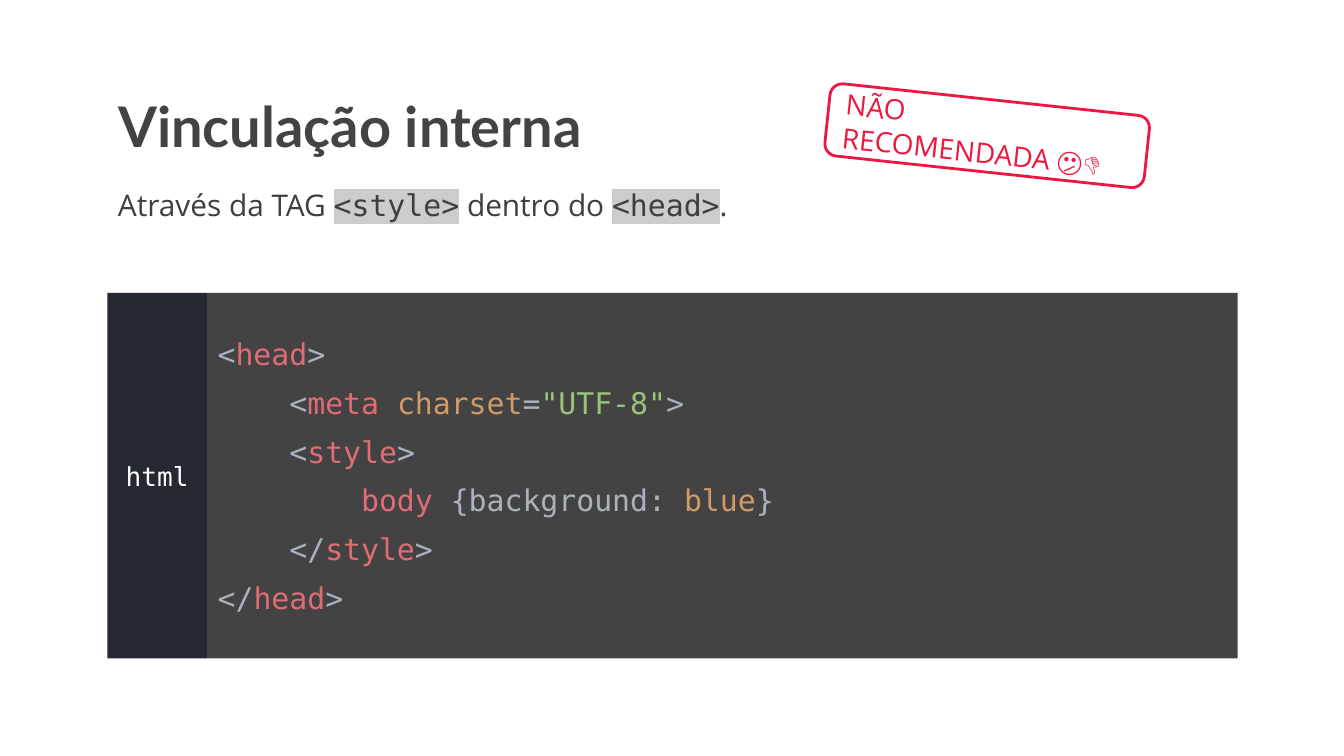
from lxml import etree
from pptx import Presentation
from pptx.dml.color import RGBColor
from pptx.enum.shapes import MSO_SHAPE as SHAPE
from pptx.enum.text import MSO_ANCHOR as ANCHOR, MSO_AUTO_SIZE as AUTO_SIZE, PP_ALIGN as ALIGN
from pptx.oxml.ns import qn
from pptx.util import Inches, Pt

HEADING, BODY, MONO = "Lato", "Open Sans", "DejaVu Sans Mono"
DARK, TEXT, RED, GRAY = "434343", "3F3F3F", "EC183F", "CCCCCC"
PLAIN, TAG, VALUE, STRING = "ABB2BF", "E06C75", "D19A66", "98C379"

PANEL_TOP, PANEL_HEIGHT = 2.18, 2.72

CODE = [
    [("<", PLAIN), ("head", TAG), (">", PLAIN)],
    [("    <", PLAIN), ("meta ", TAG), ("charset", VALUE), ("=", PLAIN),
     ('"UTF-8"', STRING), (">", PLAIN)],
    [("    <", PLAIN), ("style", TAG), (">", PLAIN)],
    [("        ", PLAIN), ("body", TAG), (" {background: ", PLAIN),
     ("blue", VALUE), ("}", PLAIN)],
    [("    </", PLAIN), ("style", TAG), (">", PLAIN)],
    [("</", PLAIN), ("head", TAG), (">", PLAIN)],
]


def rgb(color):
    return RGBColor.from_string(color)


def add_run(p, text, size, font, color, bold=False, highlight=None):
    r = p.add_run()
    r.text = text
    r.font.size, r.font.name, r.font.bold = Pt(size), font, bold
    r.font.color.rgb = rgb(color)
    if highlight:
        mark = etree.Element(qn("a:highlight"))
        etree.SubElement(mark, qn("a:srgbClr"), val=highlight)
        r.font._element.find(qn("a:solidFill")).addnext(mark)


def place(sp, left, top, width, height):
    sp.left, sp.top = Inches(left), Inches(top)
    sp.width, sp.height = Inches(width), Inches(height)


def set_frame(sp, anchor, left=0.1, top=0.1):
    tf = sp.text_frame
    tf.word_wrap, tf.auto_size = True, AUTO_SIZE.NONE
    tf.vertical_anchor = anchor
    tf.margin_left, tf.margin_top = Inches(left), Inches(top)
    tf.margin_right = tf.margin_bottom = Inches(0.1)
    tf.paragraphs[0].alignment = ALIGN.LEFT
    return tf


def add_box(parent, kind, left, top, width, height, fill=None, line=None):
    """Add a preset shape to a slide or a group."""
    sp = parent.shapes.add_shape(kind, Inches(left), Inches(top), Inches(width), Inches(height))
    sp.shadow.inherit = False
    if fill:
        sp.fill.solid()
        sp.fill.fore_color.rgb = rgb(fill)
    else:
        sp.fill.background()
    if line:
        sp.line.color.rgb = rgb(line)
        sp.line.width = Pt(1.5)
    else:
        sp.line.fill.background()
    return sp


def add_title(s):
    title = s.shapes.title
    place(title, 0.78, 0.6, 5.96, 0.69)
    p = set_frame(title, ANCHOR.BOTTOM).paragraphs[0]
    p.line_spacing = 0.9
    add_run(p, "Vinculação interna", 30, HEADING, DARK, bold=True)


def add_description(s):
    sp = s.shapes.add_textbox(Inches(0.78), Inches(1.29), Inches(8.43), Inches(0.92))
    p = set_frame(sp, ANCHOR.TOP).paragraphs[0]
    for text, is_tag in [("Através da TAG ", False), ("<style>", True),
                         (" dentro do ", False), ("<head>", True), (".", False)]:
        add_run(p, text, 16, MONO if is_tag else BODY, TEXT,
                highlight=GRAY if is_tag else None)


def add_code(panel):
    sp = add_box(panel, SHAPE.RECTANGLE, 1.54, PANEL_TOP, 7.67, PANEL_HEIGHT, fill=DARK)
    tf = set_frame(sp, ANCHOR.MIDDLE, left=0.08, top=0)
    for i, tokens in enumerate(CODE):
        p = tf.add_paragraph() if i else tf.paragraphs[0]
        p.alignment, p.line_spacing = ALIGN.LEFT, 1.36
        for text, color in tokens:
            add_run(p, text, 16, MONO, color)


def add_language_label(panel):
    sp = add_box(panel, SHAPE.RECTANGLE, 0.8, PANEL_TOP, 0.74, PANEL_HEIGHT, fill="262831")
    p = set_frame(sp, ANCHOR.MIDDLE).paragraphs[0]
    p.alignment = ALIGN.CENTER
    add_run(p, "html", 14, MONO, "FFFFFF")


def add_stamp(s):
    sp = add_box(s, SHAPE.ROUNDED_RECTANGLE, 6.15, 0.74, 2.39, 0.54, line=RED)
    sp.adjustments[0] = 0.17
    sp.rotation = 6.1
    p = set_frame(sp, ANCHOR.MIDDLE).paragraphs[0]
    add_run(p, "NÃO RECOMENDADA 😕👎", 15, BODY, RED)


def main():
    prs = Presentation()
    prs.slide_width = Inches(10)
    prs.slide_height = Inches(10 * 9 / 16)
    s = prs.slides.add_slide(prs.slide_layouts[5])
    add_title(s)
    add_description(s)
    panel = s.shapes.add_group_shape()
    add_code(panel)
    add_language_label(panel)
    add_stamp(s)
    prs.save("out.pptx")


if __name__ == "__main__":
    main()
